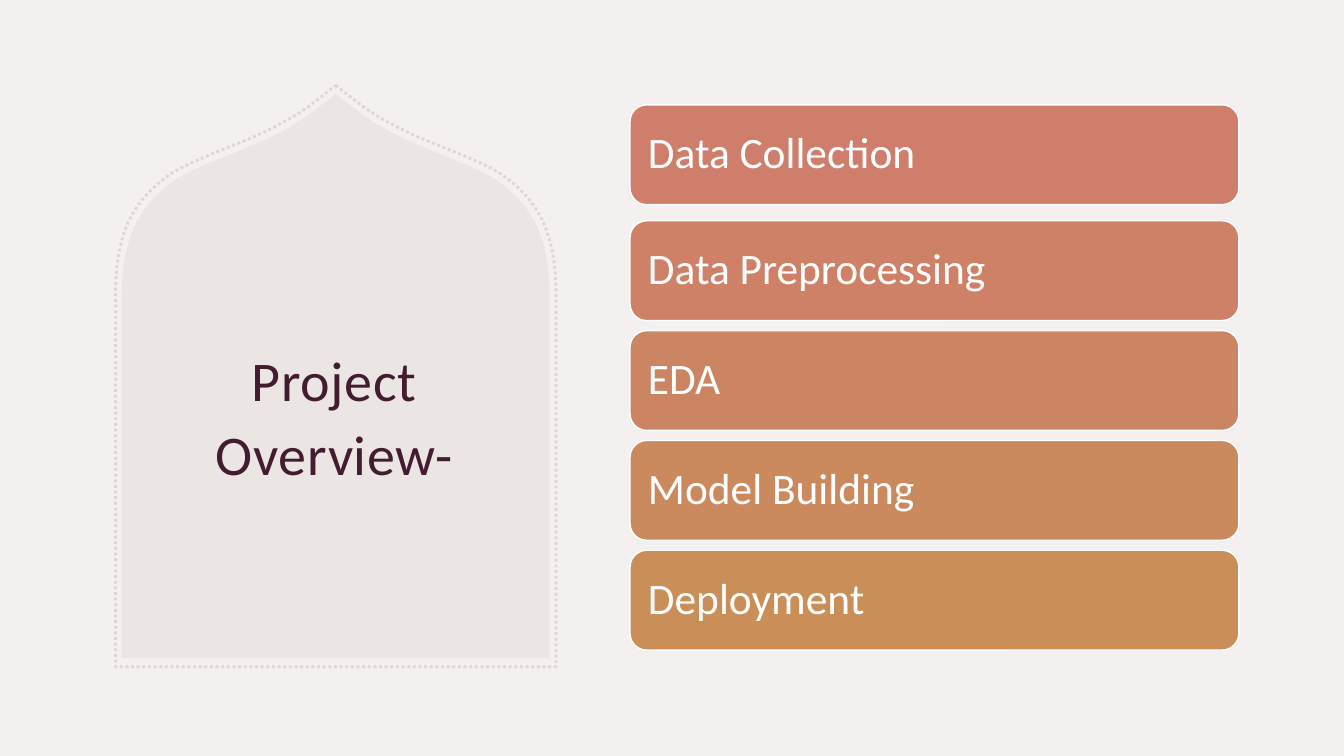
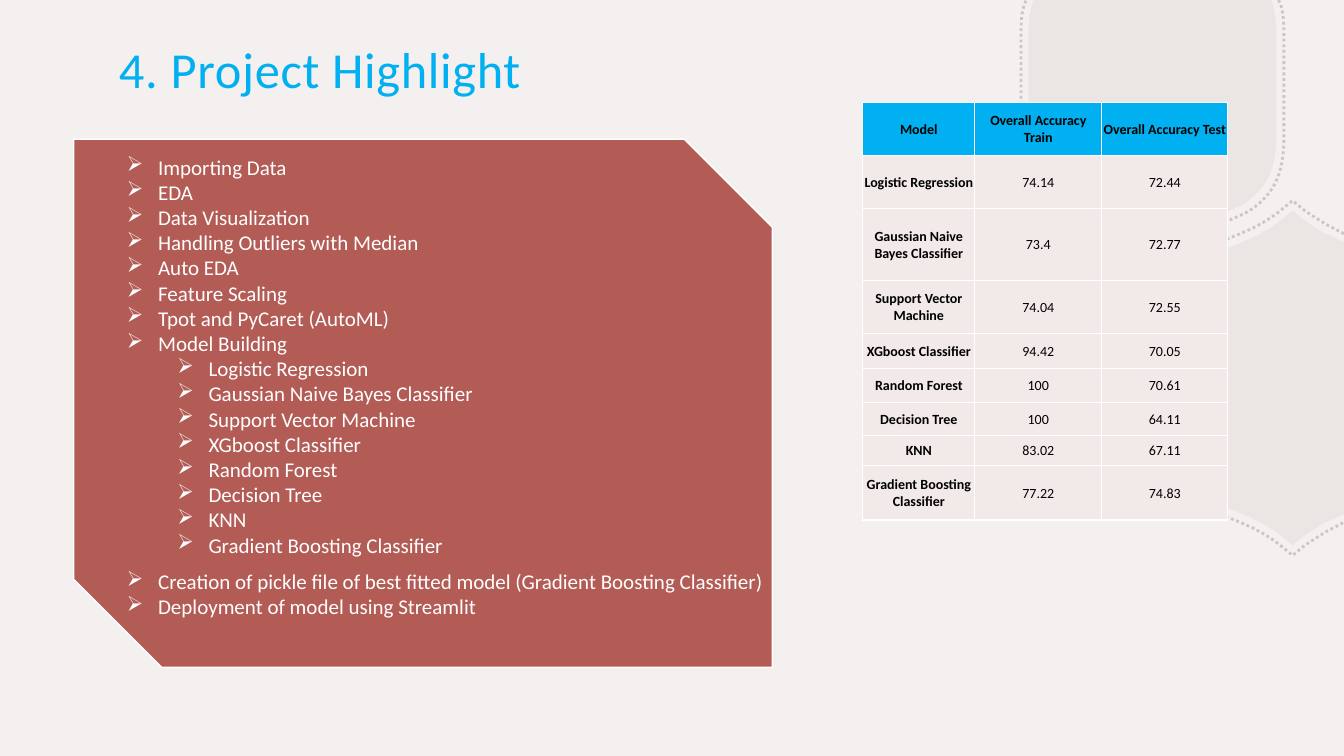
from dataclasses import dataclass

from lxml import etree
from pptx import Presentation
from pptx.dml.color import RGBColor
from pptx.enum.dml import MSO_LINE
from pptx.enum.shapes import MSO_SHAPE
from pptx.enum.text import MSO_ANCHOR, MSO_AUTO_SIZE, PP_ALIGN
from pptx.oxml.ns import qn
from pptx.util import Inches, Pt

PLAIN, ROUNDED = MSO_SHAPE.RECTANGLE, MSO_SHAPE.ROUNDED_RECTANGLE
SNIPPED = MSO_SHAPE.SNIP_2_DIAG_RECTANGLE
LEFT, CENTER = PP_ALIGN.LEFT, PP_ALIGN.CENTER
TOP, MIDDLE = MSO_ANCHOR.TOP, MSO_ANCHOR.MIDDLE
NO_FIT = MSO_AUTO_SIZE.NONE
DOTTED = MSO_LINE.ROUND_DOT

SLIDE_W, SLIDE_H = 13.33, 7.5
TITLE_ONLY = 5
INSET = 0.1


@dataclass(frozen=True)
class Theme:
    font: str = "Calibri"
    bullet_font: str = "Wingdings"
    background: str = "F3F0EF"
    ornament: str = "BFAFAA"
    arch_line: str = "DED6D3"
    plum: str = "431C30"
    accent: str = "00B0F0"
    panel: str = "B35B55"
    cell: str = "F2EAE9"
    white: str = "FFFFFF"
    black: str = "000000"
    steps: tuple = ("CF7E6C", "CE8167", "CC8562", "CB8A5D", "CA8F58")
    arch_title_size: int = 40
    title_size: int = 36
    step_size: int = 31
    list_size: int = 15
    table_size: int = 10


THEME = Theme()

STEPS = ["Data Collection", "Data Preprocessing", "EDA", "Model Building", "Deployment"]

ACCURACY = [
    ("Model", "Overall Accuracy Train", "Overall Accuracy Test"),
    ("Logistic Regression", "74.14", "72.44"),
    ("Gaussian Naive Bayes Classifier", "73.4", "72.77"),
    ("Support Vector Machine", "74.04", "72.55"),
    ("XGboost Classifier", "94.42", "70.05"),
    ("Random Forest", "100", "70.61"),
    ("Decision Tree", "100", "64.11"),
    ("KNN", "83.02", "67.11"),
    ("Gradient Boosting Classifier", "77.22", "74.83"),
]
COLUMN_WIDTHS = [1.11, 1.26, 1.25]
ROW_HEIGHTS = [0.52, 0.53, 0.71, 0.53, 0.35, 0.33, 0.33, 0.3, 0.54]

PREPARATION = ["Importing Data", "EDA", "Data Visualization", "Handling Outliers with Median",
               "Auto EDA", "Feature Scaling", "Tpot and PyCaret (AutoML)", "Model Building"]
DELIVERY = ["Creation of pickle file of best fitted model (Gradient Boosting Classifier)",
            "Deployment of model using Streamlit"]

# Ornament halves in inches from their centre, as points and cubic curves
MIRROR_X, MIRROR_Y = (-1, 1), (1, -1)
ARCH_CENTER = (3.33, 3.73)
ARCH_HALF = [(0, -2.8), (0.19, -2.65), (0.65, -2.29, 1.17, -2.19, 1.57, -1.96),
             (1.95, -1.7, 2.12, -1.39, 2.12, -0.78), (2.12, 2.8)]
UPPER_TILE_CENTER = (11.43, 0.85)
UPPER_TILE_HALF = [(1.18, -0.85), (1.22, -0.73, 1.23, -0.62, 1.23, -0.48), (1.23, 0.48),
                   (1.23, 0.84, 1.13, 1.02, 0.91, 1.17),
                   (0.68, 1.3, 0.38, 1.35, 0.11, 1.56), (0, 1.66)]
LOWER_TILE_CENTER = (12.82, 3.75)
LOWER_TILE_HALF = [(0.51, -1.35), (0.31, -1.44), (0.25, -1.48, 0.18, -1.52, 0.11, -1.57),
                   (0, -1.66), (-0.11, -1.57), (-0.38, -1.35, -0.68, -1.3, -0.91, -1.17),
                   (-1.13, -1.02, -1.23, -0.84, -1.23, -0.48)]


def rgb(color):
    return RGBColor.from_string(color)


def box(left, top, width, height):
    """Turn percentages of the slide into lengths."""
    return (Inches(SLIDE_W * left / 100), Inches(SLIDE_H * top / 100),
            Inches(SLIDE_W * width / 100), Inches(SLIDE_H * height / 100))


# Text
def style_text(frame, size, color, align=LEFT, anchor=TOP, spacing=None, inset=INSET):
    frame.word_wrap = True
    frame.auto_size = NO_FIT
    frame.vertical_anchor = anchor
    frame.margin_left = frame.margin_right = Inches(inset)
    for paragraph in frame.paragraphs:
        paragraph.alignment = align
        paragraph.line_spacing = spacing
        for run in paragraph.runs:
            style_run(run, size, color)


def style_run(run, size, color, bold=False):
    run.font.name = THEME.font
    run.font.size = Pt(size)
    run.font.bold = bold
    run.font.color.rgb = rgb(color)


def place_title(slide, text, area, size, color, align=LEFT):
    title = slide.shapes.title
    title.left, title.top, title.width, title.height = box(*area)
    frame = title.text_frame
    frame.text = text
    style_text(frame, size, color, align, MIDDLE, 1.1, 0.12)
    frame.margin_top = frame.margin_bottom = Inches(INSET)
    for run in frame.paragraphs[0].runs:
        run.font._element.set("spc", "50")
    # Keep the title in front of the ornaments
    title.element.getparent().append(title.element)


def add_bullets(slide, items, area):
    """Write (level, text) items as an arrow list."""
    frame = slide.shapes.add_textbox(*box(*area)).text_frame
    frame.text = "\n".join(text for _, text in items)
    style_text(frame, THEME.list_size, THEME.white)
    for paragraph, (level, _) in zip(frame.paragraphs, items):
        paragraph.level = level
        properties = paragraph._p.get_or_add_pPr()
        properties.set("marL", str(Inches(0.31 + 0.5 * level)))
        properties.set("indent", str(Inches(-0.31)))
        etree.SubElement(properties, qn("a:buFont")).set("typeface", THEME.bullet_font)
        # This letter is the arrowhead of the bullet font
        etree.SubElement(properties, qn("a:buChar")).set("char", "Ø")


# Shapes
def add_block(slide, preset, area, color, outlined=True):
    block = slide.shapes.add_shape(preset, *box(*area))
    block.shadow.inherit = False
    block.fill.solid()
    block.fill.fore_color.rgb = rgb(color)
    if outlined:
        block.line.color.rgb = rgb(THEME.white)
        block.line.width = Pt(1)
    else:
        block.line.fill.background()
    return block


def set_opacity(shape, percent):
    for color in shape.element.spPr.iter(qn("a:srgbClr")):
        etree.SubElement(color, qn("a:alpha")).set("val", str(percent * 1000))


def bend(outline, sizes):
    """Join each run of three line steps into one cubic curve."""
    lines = iter(list(outline.element.iter(qn("a:lnTo"))))
    for size in sizes:
        group = [next(lines) for _ in range(size)]
        if size == 3:
            curve = etree.Element(qn("a:cubicBezTo"))
            group[0].addprevious(curve)
            for line in group:
                curve.append(line[0])
                line.getparent().remove(line)


def draw_outline(slide, half, mirror, center, scale, close):
    """Draw a half and its mirror image, kept within the slide."""
    side = [segment[i:i + 2] for segment in half for i in range(0, len(segment), 2)]
    sides = side + [(x * mirror[0], y * mirror[1]) for x, y in reversed(side)]
    points = [(Inches(min(center[0] + x * scale, SLIDE_W)),
               Inches(max(center[1] + y * scale, 0))) for x, y in sides]
    builder = slide.shapes.build_freeform(*points[0], scale=1.0)
    builder.add_line_segments(points[1:], close=close)
    outline = builder.convert_to_shape()
    outline.shadow.inherit = False
    sizes = [len(segment) // 2 for segment in half[1:]]
    bend(outline, sizes + [1] + sizes[::-1])
    return outline


def add_ornament(slide, half, mirror, center, scale, line_color, close):
    """Draw a pale body and a slightly larger dotted border."""
    body = draw_outline(slide, half, mirror, center, 1, True)
    body.fill.solid()
    body.fill.fore_color.rgb = rgb(THEME.ornament)
    body.line.fill.background()
    set_opacity(body, 15)

    border = draw_outline(slide, half, mirror, center, scale, close)
    border.fill.background()
    border.line.color.rgb = rgb(line_color)
    border.line.width = Pt(2)
    border.line.dash_style = DOTTED
    return body, border


# Table
def add_borders(cell):
    properties = cell._tc.get_or_add_tcPr()
    for side in ("lnL", "lnR", "lnT", "lnB"):
        border = etree.SubElement(properties, qn(f"a:{side}"))
        border.set("w", str(Pt(1)))
        fill = etree.SubElement(border, qn("a:solidFill"))
        etree.SubElement(fill, qn("a:srgbClr")).set("val", THEME.white)


def style_cell(cell, text, fill, bold):
    cell.text = text
    cell.vertical_anchor = MIDDLE
    cell.margin_left = cell.margin_right = cell.margin_top = Inches(0.01)
    cell.margin_bottom = 0
    add_borders(cell)
    cell.fill.solid()
    cell.fill.fore_color.rgb = rgb(fill)
    paragraph = cell.text_frame.paragraphs[0]
    paragraph.alignment = CENTER
    style_run(paragraph.runs[0], THEME.table_size, THEME.black, bold)


def add_accuracy_table(slide, area):
    table = slide.shapes.add_table(len(ACCURACY), len(COLUMN_WIDTHS), *box(*area)).table
    table.first_row = table.horz_banding = False
    for column, width in zip(table.columns, COLUMN_WIDTHS):
        column.width = Inches(width)
    for row, height in zip(table.rows, ROW_HEIGHTS):
        row.height = Inches(height)
    for r, values in enumerate(ACCURACY):
        for c, value in enumerate(values):
            fill = THEME.cell if r else THEME.accent
            style_cell(table.cell(r, c), value, fill, r == 0 or c == 0)


# Shared backdrop
def build_master(master, slide):
    """Colour the master and move the tiles, drawn on a slide, to its back."""
    backdrop = master.background.fill
    backdrop.solid()
    backdrop.fore_color.rgb = rgb(THEME.background)
    tiles = [(UPPER_TILE_HALF, MIRROR_X, UPPER_TILE_CENTER),
             (LOWER_TILE_HALF, MIRROR_Y, LOWER_TILE_CENTER)]
    first_placeholder = master.placeholders[0].element
    for number, tile in enumerate(tiles):
        parts = add_ornament(slide, *tile, 1.06, THEME.ornament, False)
        set_opacity(parts[1], 65)
        for offset, part in enumerate(parts):
            part.element.nvSpPr.cNvPr.set("id", str(100 + 2 * number + offset))
            first_placeholder.addprevious(part.element)


# Slides
def build_overview(slide):
    add_block(slide, PLAIN, (0, 0, 100, 100), THEME.background, outlined=False)
    add_ornament(slide, ARCH_HALF, MIRROR_X, ARCH_CENTER, 1.03, THEME.arch_line, True)
    place_title(slide, "Project Overview-", (12.08, 33.6, 25.58, 42),
                THEME.arch_title_size, THEME.plum, CENTER)
    pitch, lead = 14.53, 0.8  # the first step stands a little apart
    for i, (step, color) in enumerate(zip(STEPS, THEME.steps)):
        top = 14.67 + pitch * i - (0 if i else lead)
        bar = add_block(slide, ROUNDED, (46.88, top, 45.3, 13.2), color)
        bar.text_frame.text = step
        style_text(bar.text_frame, THEME.step_size, THEME.white, LEFT, MIDDLE, 0.9, 0.13)


def build_highlight(slide):
    add_block(slide, SNIPPED, (5.48, 18.4, 51.98, 69.87), THEME.panel)
    place_title(slide, "4. Project Highlight", (7.95, 5.6, 49.5, 6),
                THEME.title_size, THEME.accent)
    models = [(1, name) for name, *_ in ACCURACY[1:]]
    add_bullets(slide, [(0, text) for text in PREPARATION] + models, (8.7, 19.73, 28.05, 58.53))
    add_accuracy_table(slide, (64.2, 13.6, 27.16, 55.33))
    add_bullets(slide, [(0, text) for text in DELIVERY], (8.7, 74.53, 50, 11.47))


def main():
    deck = Presentation()
    deck.slide_width, deck.slide_height = Inches(SLIDE_W), Inches(SLIDE_H)
    overview, highlight = [deck.slides.add_slide(deck.slide_layouts[TITLE_ONLY])
                           for _ in range(2)]
    build_master(deck.slide_master, overview)
    build_overview(overview)
    build_highlight(highlight)
    deck.save("out.pptx")


if __name__ == "__main__":
    main()
